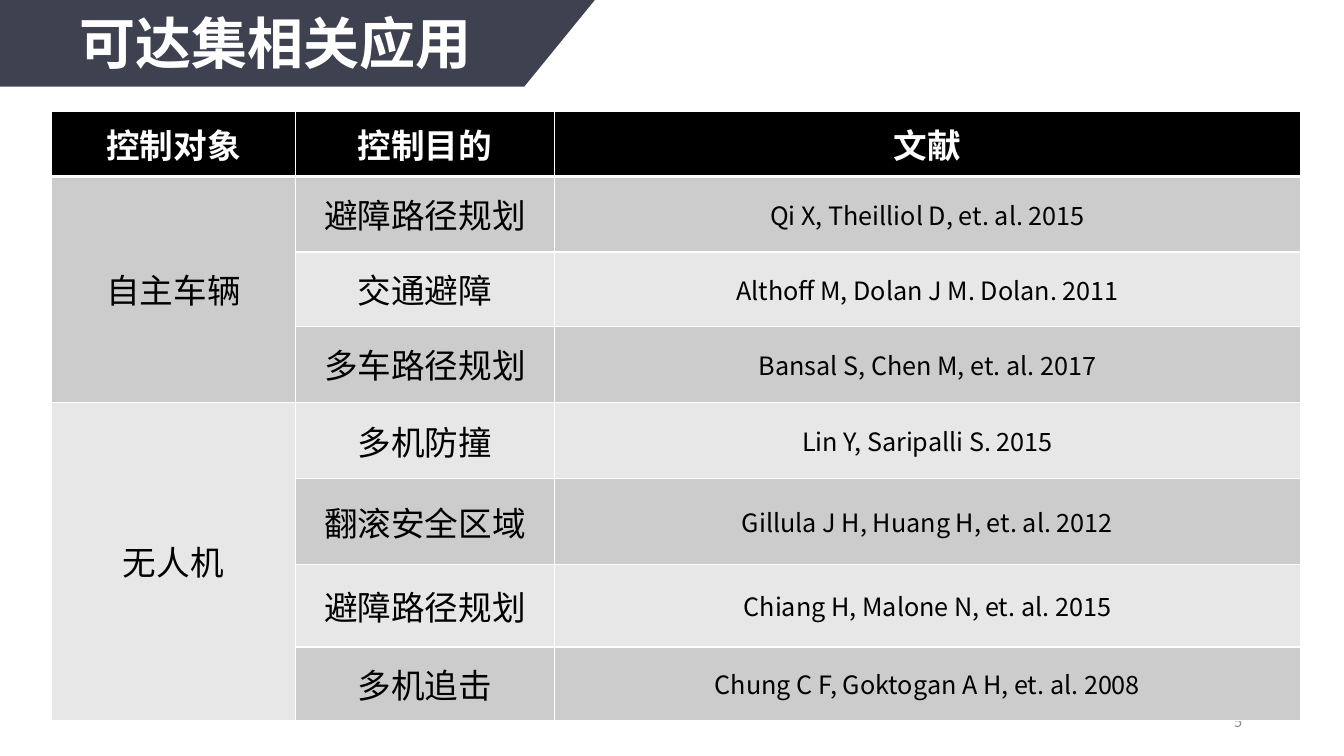
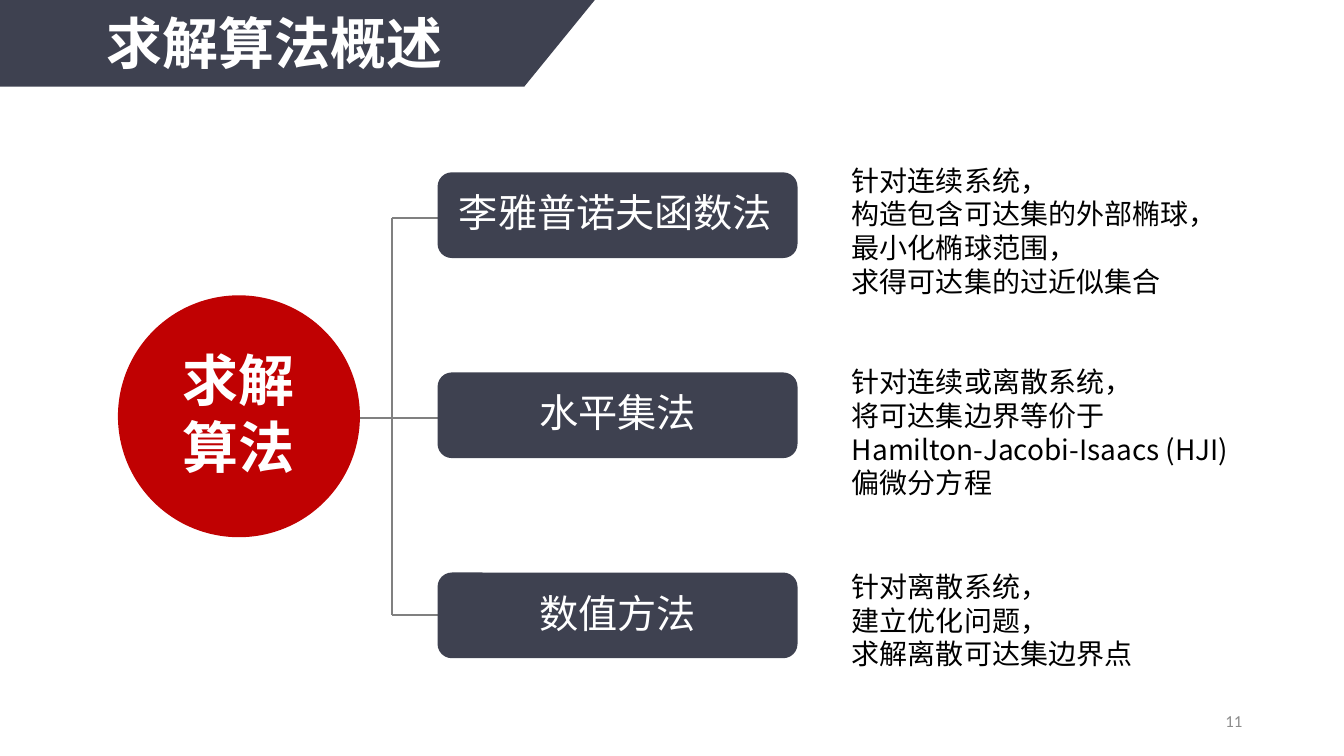
"""Build two slides on reachable sets: applications and solution algorithms."""
from pptx import Presentation
from pptx.dml.color import RGBColor
from pptx.enum import shapes, text
from pptx.oxml import parse_xml
from pptx.oxml.ns import nsdecls
from pptx.util import Inches, Pt

COLORS = {"slate": "3E4150", "red": "C00102", "white": "FFFFFF", "black": "000000",
          "rule": "808080", "page": "8C8C8C", "dark": "CCCCCC", "light": "E7E7E7"}
FONT = "Noto Sans CJK SC"
LEFT, CENTER, RIGHT = text.PP_ALIGN.LEFT, text.PP_ALIGN.CENTER, text.PP_ALIGN.RIGHT
MIDDLE = text.MSO_ANCHOR.MIDDLE

HEADINGS = ("控制对象", "控制目的", "文献")
APPLICATIONS = {
    "自主车辆": [
        ("避障路径规划", "Qi X, Theilliol D, et. al. 2015"),
        ("交通避障", "Althoff M, Dolan J M. Dolan. 2011"),
        ("多车路径规划", "Bansal S, Chen M, et. al. 2017")],
    "无人机": [
        ("多机防撞", "Lin Y, Saripalli S. 2015"),
        ("翻滚安全区域", "Gillula J H, Huang H, et. al. 2012"),
        ("避障路径规划", "Chiang H, Malone N, et. al. 2015"),
        ("多机追击", "Chung C F, Goktogan A H, et. al. 2008")],
}
COLUMN_WIDTHS = (2.42, 2.57, 7.4)
ROW_HEIGHTS = (0.64, 0.75, 0.74, 0.75, 0.76, 0.85, 0.82, 0.73)

ROOT = ("求解", "算法")
METHODS = [
    ("李雅普诺夫函数法", LEFT, 1.57,
     ("针对连续系统，", "构造包含可达集的外部椭球，", "最小化椭球范围，", "求得可达集的过近似集合")),
    ("水平集法", CENTER, 3.57,
     ("针对连续或离散系统，", "将可达集边界等价于", "Hamilton-Jacobi-Isaacs (HJI)", "偏微分方程")),
    ("数值方法", CENTER, 5.6,
     ("针对离散系统，", "建立优化问题，", "求解离散可达集边界点")),
]
METHOD_TOP, METHOD_PITCH = 1.71, 1.985
TRUNK_X = 3.89
BRANCHES = [((TRUNK_X, 2.16), (TRUNK_X, 6.1)), ((5.51, 2.16), (TRUNK_X, 2.16)),
            ((4.88, 4.15), (3.26, 4.15)), ((5.51, 6.1), (TRUNK_X, 6.1))]


def rgb(name):
    return RGBColor.from_string(COLORS[name])


def write(frame, lines, size, color, bold=False, align=LEFT, font=FONT):
    for index, line in enumerate(lines):
        paragraph = frame.paragraphs[0] if index == 0 else frame.add_paragraph()
        paragraph.alignment = align
        run = paragraph.add_run()
        run.text = line
        run.font.name, run.font.size, run.font.bold = font, Pt(size), bold
        run.font.color.rgb = rgb(color)
        run.font._element.append(parse_xml(f'<a:ea {nsdecls("a")} typeface="{font}"/>'))


def paint(shape, color):
    shape.shadow.inherit = False
    shape.fill.solid()
    shape.fill.fore_color.rgb = rgb(color)
    shape.line.fill.background()


def add_text(slide, box, lines, size, color, wrap=True, anchor=text.MSO_ANCHOR.TOP, **style):
    frame = slide.shapes.add_textbox(*map(Inches, box)).text_frame
    frame.word_wrap, frame.vertical_anchor = wrap, anchor
    write(frame, lines, size, color, **style)


def add_base(deck, title, left, width):
    slide = deck.slides.add_slide(deck.slide_layouts[6])
    outline = slide.shapes.build_freeform(0, 0, scale=Inches(1) / 100)
    outline.add_line_segments([(590, 0), (520, 86), (0, 86)], close=True)
    paint(outline.convert_to_shape(), "slate")
    add_text(slide, (left, 0.04, width, 0.77), [title], 40, "white", wrap=False, bold=True)
    return slide


def add_page_number(slide, number):
    add_text(slide, (9.42, 6.95, 3, 0.4), [str(number)], 12, "page",
             anchor=MIDDLE, align=RIGHT, font="Calibri")


def fill_cell(cell, label, size, fill, color="black", bold=False, bottom=1):
    cell.vertical_anchor = MIDDLE
    write(cell.text_frame, [label] if label else [], size, color, bold, CENTER)
    properties = cell._tc.get_or_add_tcPr()
    for side, width in (("L", 1), ("R", 1), ("T", 1), ("B", bottom)):
        properties.append(parse_xml(
            f'<a:ln{side} {nsdecls("a")} w="{Pt(width)}"><a:solidFill>'
            f'<a:srgbClr val="{COLORS["white"]}"/></a:solidFill></a:ln{side}>'))
    cell.fill.solid()
    cell.fill.fore_color.rgb = rgb(fill)


def add_applications(slide):
    table = slide.shapes.add_table(
        len(ROW_HEIGHTS), len(COLUMN_WIDTHS), Inches(0.51), Inches(1.11),
        Inches(sum(COLUMN_WIDTHS)), Inches(sum(ROW_HEIGHTS))).table
    for column, width in zip(table.columns, COLUMN_WIDTHS):
        column.width = Inches(width)
    for row, height in zip(table.rows, ROW_HEIGHTS):
        row.height = Inches(height)
    for column, heading in enumerate(HEADINGS):
        fill_cell(table.cell(0, column), heading, 24, "black", "white", True, 3)
    row = 1
    for target, studies in APPLICATIONS.items():
        first = row
        target_fill = "dark" if first % 2 else "light"
        for purpose, reference in studies:
            fill = "dark" if row % 2 else "light"
            fill_cell(table.cell(row, 0), target if row == first else "", 24, target_fill)
            fill_cell(table.cell(row, 1), purpose, 24, fill)
            fill_cell(table.cell(row, 2), reference, 18, fill)
            row += 1
        table.cell(first, 0).merge(table.cell(row - 1, 0))


def add_branch(slide, start, end):
    branch = slide.shapes.add_connector(
        shapes.MSO_CONNECTOR.STRAIGHT, *map(Inches, start + end))
    branch.line.color.rgb = rgb("rule")
    branch.line.width = Pt(1.5)
    branch._element.spPr.append(parse_xml(f'<a:effectLst {nsdecls("a")}/>'))


def add_method(slide, top, name, align):
    box = slide.shapes.add_shape(shapes.MSO_SHAPE.ROUNDED_RECTANGLE,
                                 *map(Inches, (4.34, top, 3.57, 0.85)))
    paint(box, "slate")
    frame = box.text_frame
    frame.margin_left = frame.margin_right = Inches(0.17)
    frame.margin_top, frame.margin_bottom = 0, Inches(0.06)
    frame.word_wrap, frame.vertical_anchor = True, MIDDLE
    write(frame, [name], 28, "white", align=align)


def add_algorithms(slide):
    for start, end in BRANCHES:
        add_branch(slide, start, end)
    circle = slide.shapes.add_shape(shapes.MSO_SHAPE.OVAL,
                                    *map(Inches, (1.17, 2.93, 2.4, 2.4)))
    paint(circle, "red")
    add_text(slide, (1.71, 3.38, 1.32, 1.45), ROOT, 40, "white", bold=True)
    for index, (name, align, note_top, notes) in enumerate(METHODS):
        add_method(slide, METHOD_TOP + index * METHOD_PITCH, name, align)
        add_text(slide, (8.35, note_top, 3.99, 1.45), notes, 20, "black", wrap=False)


def main():
    deck = Presentation()
    deck.slide_width, deck.slide_height = Inches(13.33), Inches(7.5)
    applications = add_base(deck, "可达集相关应用", 0.69, 4.13)
    add_page_number(applications, 5)
    add_applications(applications)
    algorithms = add_base(deck, "求解算法概述", 0.96, 3.57)
    add_algorithms(algorithms)
    add_page_number(algorithms, 11)
    deck.save("out.pptx")


if __name__ == "__main__":
    main()
